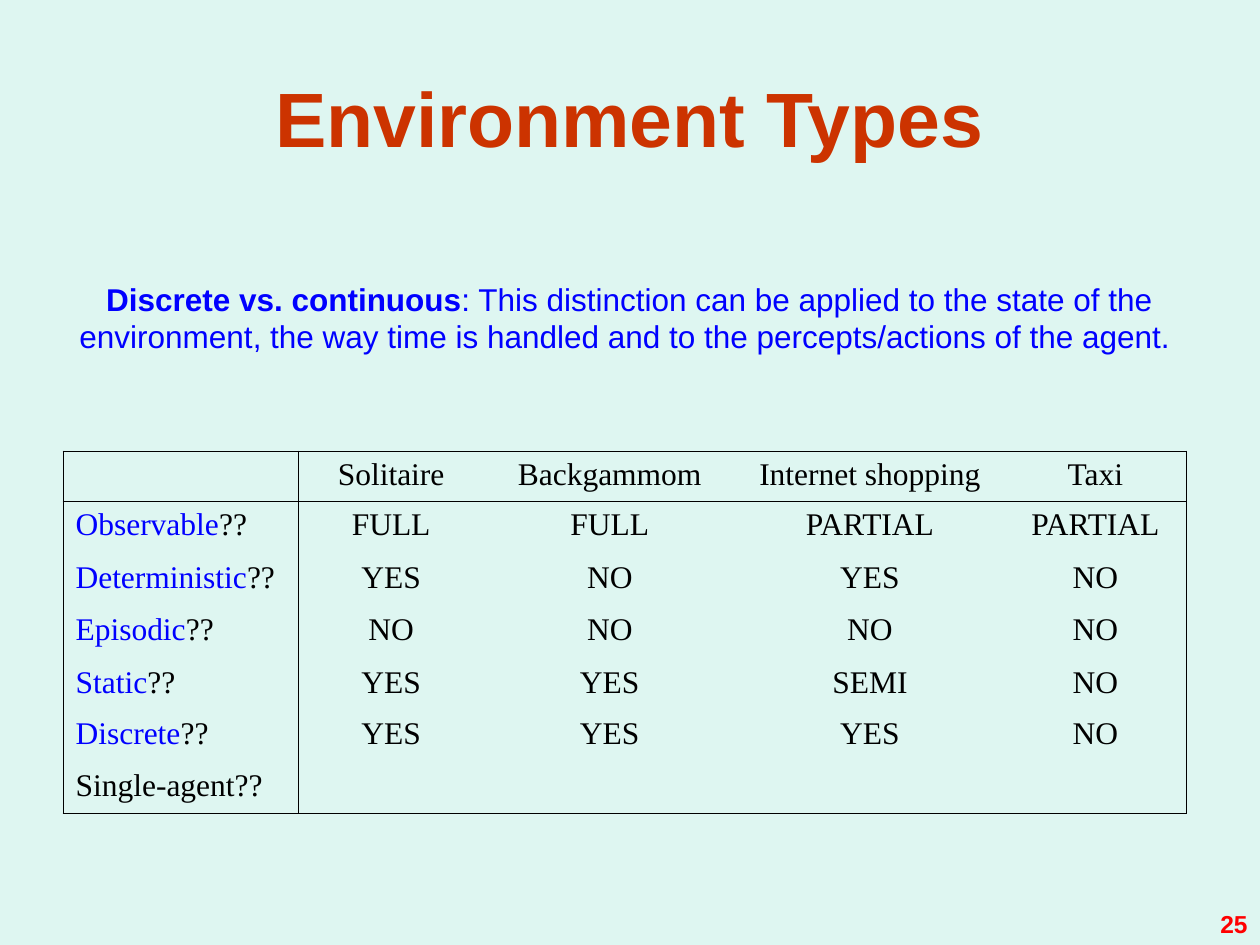
"""Build the Environment Types slide with its comparison table."""

from dataclasses import dataclass
from typing import NamedTuple

from lxml import etree
from pptx import Presentation
from pptx import util as u
from pptx.dml.color import RGBColor
from pptx.enum import text
from pptx.oxml import ns


@dataclass(frozen=True)
class Theme:
    background: str = "DEF6F1"
    heading: str = "CC3300"
    accent: str = "0000FF"
    ink: str = "000000"
    number: str = "FF0000"
    sans: str = "Arial"
    serif: str = "Times New Roman"
    title_size: float = 44
    body_size: float = 18
    number_size: float = 14
    border: float = 0.45


class Span(NamedTuple):
    words: str
    color: str
    bold: bool = False


class Block(NamedTuple):
    place: tuple[float, float, float, float]
    lines: list[list[Span]]
    size: float
    align: text.PP_ALIGN = text.PP_ALIGN.CENTER
    anchor: text.MSO_ANCHOR = text.MSO_ANCHOR.TOP
    side_inset: float = 0.1
    wrap: bool = True


THEME = Theme()
BLOCKS = [
    Block((0.5, 0.3, 9, 1.25), [[Span("Environment Types", THEME.heading, True)]],
          THEME.title_size, anchor=text.MSO_ANCHOR.MIDDLE),
    Block((0.63, 2.17, 8.73, 0.7), [
        [Span("Discrete vs. continuous", THEME.accent, True),
         Span(": This distinction can be applied to the state of the", THEME.accent)],
        [Span("environment, the way time is handled and to the percepts/actions of the agent. ",
              THEME.accent)],
    ], THEME.body_size, side_inset=0, wrap=False),
    Block((7.67, 6.98, 2.33, 0.52), [[Span("25", THEME.number, True)]],
          THEME.number_size, text.PP_ALIGN.RIGHT, text.MSO_ANCHOR.BOTTOM),
]
TABLE_PLACE = (0.5, 3.58, 8.92, 2.89)
COLUMN_WIDTHS = [1.87, 1.47, 2, 2.13, 1.45]
ROW_HEIGHTS = [0.4, 0.42, 0.41, 0.42, 0.41, 0.41, 0.41]
ROWS = [
    ["", "Solitaire", "Backgammom", "Internet shopping", "Taxi"],
    ["Observable", "FULL", "FULL", "PARTIAL", "PARTIAL"],
    ["Deterministic", "YES", "NO", "YES", "NO"],
    ["Episodic", "NO", "NO", "NO", "NO"],
    ["Static", "YES", "YES", "SEMI", "NO"],
    ["Discrete", "YES", "YES", "YES", "NO"],
    ["Single-agent", "", "", "", ""],
]


def fill_para(para, spans: list[Span], font: str, size: float, align: text.PP_ALIGN) -> None:
    """Write spans into a paragraph, with shared formatting set on the paragraph."""
    para.alignment = align
    para.font.name = font
    para.font.size = u.Pt(size)
    colors = {span.color for span in spans}
    weights = {span.bold for span in spans}
    if len(colors) == 1:
        para.font.color.rgb = RGBColor.from_string(spans[0].color)
    if len(weights) == 1:
        para.font.bold = spans[0].bold
    for span in spans:
        run = para.add_run()
        run.text = span.words
        if len(colors) > 1:
            run.font.color.rgb = RGBColor.from_string(span.color)
        if len(weights) > 1:
            run.font.bold = span.bold


def add_block(page, block: Block) -> None:
    """Add a text box with one paragraph per line."""
    box = page.shapes.add_textbox(*map(u.Inches, block.place))
    frame = box.text_frame
    frame.word_wrap = block.wrap
    frame.vertical_anchor = block.anchor
    frame.margin_left = frame.margin_right = u.Inches(block.side_inset)
    for index, spans in enumerate(block.lines):
        para = frame.add_paragraph() if index else frame.paragraphs[0]
        fill_para(para, spans, THEME.sans, block.size, block.align)


def set_borders(cell, sides: dict[str, bool]) -> None:
    """Draw the chosen sides of a cell and hide the rest."""
    properties = cell._tc.get_or_add_tcPr()
    for index, (side, visible) in enumerate(sides.items()):
        line = etree.Element(ns.qn(f"a:ln{side}"), w=str(int(u.Pt(THEME.border))))
        if visible:
            fill = etree.SubElement(line, ns.qn("a:solidFill"))
            etree.SubElement(fill, ns.qn("a:srgbClr"), val=THEME.ink)
        else:
            etree.SubElement(line, ns.qn("a:noFill"))
        properties.insert(index, line)


def label_spans(label: str, is_last: bool) -> list[Span]:
    """Return a row label followed by its question marks."""
    if is_last:
        return [Span(f"{label}??", THEME.ink)]
    return [Span(label, THEME.accent), Span("??", THEME.ink)]


def add_comparison(page) -> None:
    """Add the table of environments and their properties."""
    last_row, last_column = len(ROWS) - 1, len(COLUMN_WIDTHS) - 1
    table = page.shapes.add_table(
        len(ROWS), len(COLUMN_WIDTHS), *map(u.Inches, TABLE_PLACE)).table
    table.first_row = table.horz_banding = False
    for column, width in zip(table.columns, COLUMN_WIDTHS):
        column.width = u.Inches(width)
    for row, height in zip(table.rows, ROW_HEIGHTS):
        row.height = u.Inches(height)
    for r, values in enumerate(ROWS):
        for c, value in enumerate(values):
            cell = table.cell(r, c)
            cell.fill.background()
            set_borders(cell, {"L": c <= 1, "R": c in (0, last_column),
                               "T": r <= 1, "B": r in (0, last_row)})
            is_label = c == 0 and r > 0
            spans = label_spans(value, r == last_row) if is_label else [Span(value, THEME.ink)]
            align = text.PP_ALIGN.LEFT if is_label else text.PP_ALIGN.CENTER
            fill_para(cell.text_frame.paragraphs[0], spans, THEME.serif, THEME.body_size, align)


def main() -> None:
    """Create the deck and save it."""
    deck = Presentation()
    deck.slide_width, deck.slide_height = u.Inches(10), u.Inches(7.5)
    page = deck.slides.add_slide(deck.slide_layouts[6])
    page.background.fill.solid()
    page.background.fill.fore_color.rgb = RGBColor.from_string(THEME.background)
    title, *others = BLOCKS
    add_block(page, title)
    add_comparison(page)
    for block in others:
        add_block(page, block)
    deck.save("out.pptx")


if __name__ == "__main__":
    main()
